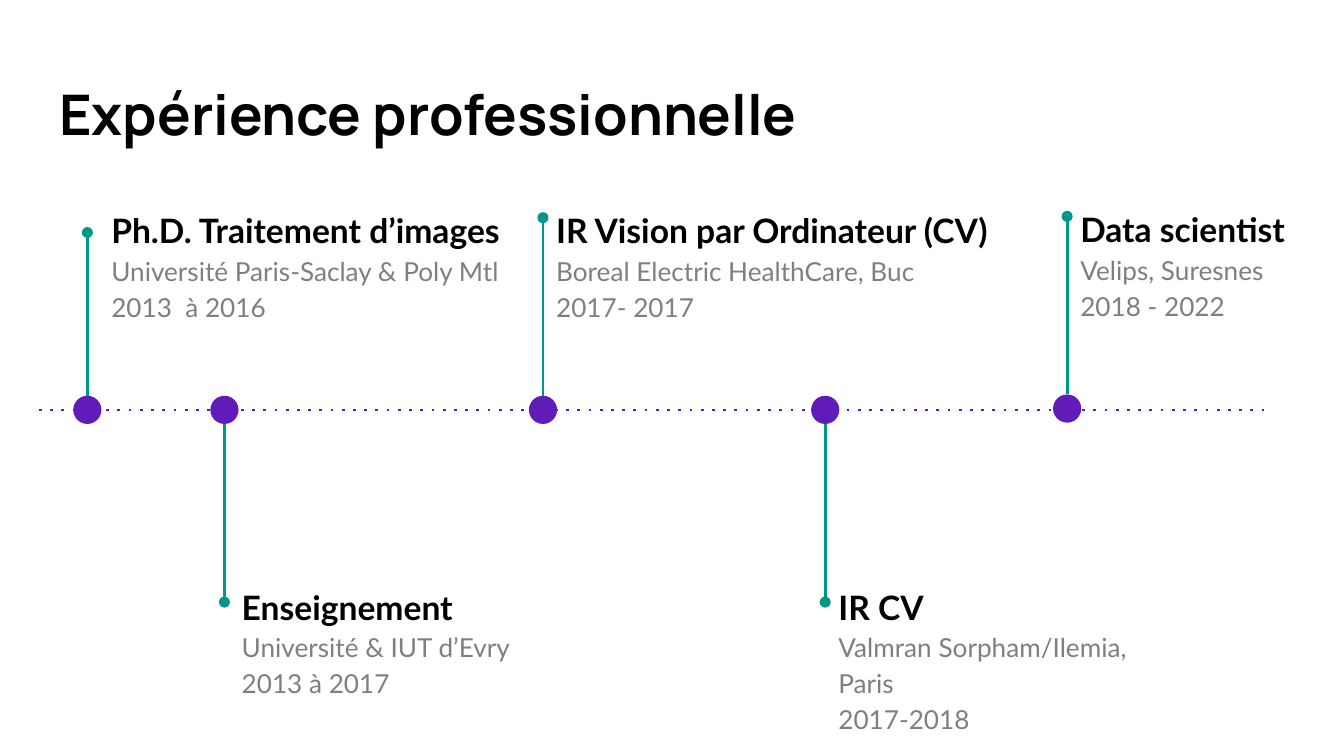
from typing import NamedTuple

from lxml.etree import SubElement
from pptx import Presentation
from pptx.dml.color import RGBColor
from pptx.enum.shapes import MSO_CONNECTOR, MSO_SHAPE
from pptx.enum.text import MSO_ANCHOR, MSO_AUTO_SIZE, PP_ALIGN
from pptx.oxml.ns import qn
from pptx.util import Inches, Pt

PURPLE, TEAL, BLACK, GREY = "611BB8", "009688", "000000", "7F7F7F"
AXIS = 3.05
DOT = 0.21


class Step(NamedTuple):
    x: float
    tip: float
    left: float
    top: float
    width: float
    role: str
    place: str
    dates: str
    axis: float = AXIS


STEPS = [
    Step(0.65, 1.73, 0.73, 1.42, 3.17, "Ph.D. Traitement d’images",
         "Université Paris-Saclay & Poly Mtl", "2013  à 2016"),
    Step(1.67, 4.48, 1.7, 4.22, 2.91, "Enseignement",
         "Université & IUT d’Evry", "2013 à 2017"),
    Step(4.04, 1.62, 4.04, 1.42, 3.9, "IR Vision par Ordinateur (CV)",
         "Boreal Electric HealthCare, Buc", "2017- 2017"),
    Step(6.14, 4.48, 6.14, 4.22, 2.54, "IR CV",
         "Valmran Sorpham/Ilemia, Paris", "2017-2018"),
    Step(7.94, 1.61, 7.94, 1.41, 1.77, "Data scientist",
         "Velips, Suresnes", "2018 - 2022", AXIS - 0.01),
]


def color(code: str) -> RGBColor:
    return RGBColor.from_string(code)


def style(para, size: float, face: str, code: str, bold: bool) -> None:
    font = para.font
    font.size, font.name, font.bold = Pt(size), face, bold
    font.color.rgb = color(code)
    para.alignment = PP_ALIGN.LEFT


def frame_up(frame) -> None:
    """Give a text frame even insets, wrapping and top anchoring."""
    frame.word_wrap = True
    frame.auto_size = MSO_AUTO_SIZE.NONE
    frame.vertical_anchor = MSO_ANCHOR.TOP
    frame.margin_left = frame.margin_right = Inches(0.1)
    frame.margin_top = frame.margin_bottom = Inches(0.1)


def add_title(slide, text: str) -> None:
    title = slide.shapes.title
    title.left, title.top = Inches(0.34), Inches(0.49)
    title.width, title.height = Inches(9.32), Inches(0.68)
    frame_up(title.text_frame)
    title.text_frame.text = text
    style(title.text_frame.paragraphs[0], 30, "Manrope", BLACK, True)


def add_line(slide, x1: float, y1: float, x2: float, y2: float,
             code: str, tag: str, **attrs: str) -> None:
    """Draw a line; tag and attrs give its dash or end element."""
    link = slide.shapes.add_connector(
        MSO_CONNECTOR.STRAIGHT, Inches(x1), Inches(y1), Inches(x2), Inches(y2))
    link.line.color.rgb = color(code)
    link.line.width = Pt(1.5)
    SubElement(link.line._get_or_add_ln(), qn(tag), **attrs)
    SubElement(link._element.spPr, qn("a:effectLst"))


def add_step(slide, step: Step) -> None:
    side = 1 if step.tip > step.axis else -1
    add_line(slide, step.x, step.axis + side * DOT / 2, step.x, step.tip,
             TEAL, "a:tailEnd", type="oval")

    dot = slide.shapes.add_shape(
        MSO_SHAPE.OVAL, Inches(step.x - DOT / 2), Inches(step.axis - DOT / 2),
        Inches(DOT), Inches(DOT))
    dot.shadow.inherit = False
    dot.fill.solid()
    dot.fill.fore_color.rgb = color(PURPLE)
    dot.line.fill.background()

    box = slide.shapes.add_textbox(
        Inches(step.left), Inches(step.top), Inches(step.width), Inches(1.06))
    frame = box.text_frame
    frame_up(frame)
    frame.text = "\n".join((step.role, step.place, step.dates))
    for i, para in enumerate(frame.paragraphs):
        para.line_spacing = 1.15
        if i == 0:
            style(para, 18, "Lato", BLACK, True)
        else:
            style(para, 14, "Lato", GREY, False)


def main() -> None:
    deck = Presentation()
    deck.slide_width, deck.slide_height = Inches(10), Inches(10 * 9 / 16)
    slide = deck.slides.add_slide(deck.slide_layouts[5])
    add_title(slide, "Expérience professionnelle")
    add_line(slide, 0.29, AXIS, 9.41, AXIS, PURPLE, "a:prstDash", val="dot")
    for step in STEPS:
        add_step(slide, step)
    deck.save("out.pptx")


if __name__ == "__main__":
    main()
